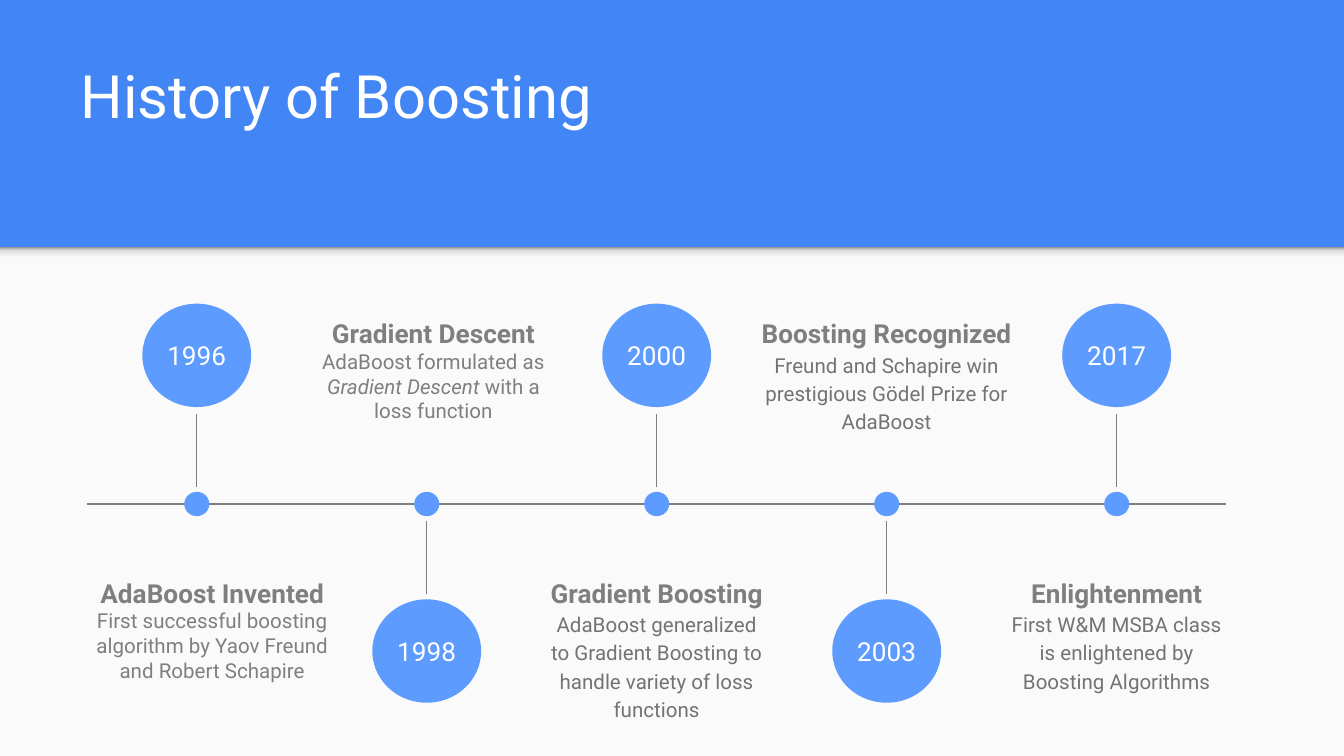
from copy import deepcopy

from lxml.etree import SubElement
from pptx import Presentation
from pptx.dml.color import RGBColor
from pptx.enum.shapes import MSO_CONNECTOR, MSO_SHAPE
from pptx.enum.text import MSO_ANCHOR, PP_ALIGN
from pptx.oxml.ns import qn
from pptx.util import Pt

TITLE = "History of Boosting"
# year, heading, description as (text, italic) runs, text width, text shift from the dot
EVENTS = [
    ("1996", "AdaBoost Invented",
     [("First successful boosting algorithm by Yaov Freund and Robert Schapire", False)],
     149.8, 8.3),
    ("1998", "Gradient Descent",
     [("AdaBoost formulated as ", False), ("Gradient Descent", True),
      (" with a loss function", False)],
     140.4, 3.6),
    ("2000", "Gradient Boosting",
     [("AdaBoost generalized to Gradient Boosting to handle variety of loss functions", False)],
     133.2, 0),
    ("2003", "Boosting Recognized",
     [("Freund and Schapire win prestigious Gödel Prize for AdaBoost", False)],
     153.4, 0),
    ("2017", "Enlightenment",
     [("First W&M MSBA class is enlightened by Boosting Algorithms", False)],
     133.2, 0),
]
COMPACT_EVENTS = 2  # the first events have tighter, lighter descriptions

FONT = "Roboto"
BLUE = RGBColor(0x42, 0x85, 0xF4)
LIGHT_BLUE = RGBColor(0x5D, 0x9B, 0xFF)
WHITE = RGBColor(0xFF, 0xFF, 0xFF)
PAPER = RGBColor(0xFA, 0xFA, 0xFA)
GRAY = RGBColor(0x7F, 0x7F, 0x7F)
DARK_GRAY = RGBColor(0x73, 0x73, 0x73)
SHADE = [(0.36, RGBColor(0xF9, 0xF9, 0xF9)),
         (0.8, RGBColor(0xDE, 0xDE, 0xDE)),
         (1, RGBColor(0x99, 0x99, 0x99))]

WIDTH, HEIGHT = 720, 405
HEADER_H, SHADE_H = 132.5, 8.6
AXIS_Y, AXIS_LEFT, AXIS_RIGHT = 270, 46.8, 656.6
FIRST_X, STEP = 105.4, 123.2
CIRCLE_W, CIRCLE_H = 58.3, 55.4
DOT_W, DOT_H = 13.4, 13
STEM_NEAR, STEM_FAR = 9, 48
TEXT_H = 85.7
# vertical places: circle centre and text top, by the circle's side of the axis
ABOVE = {"circle_y": 190.4, "text_top": 288.7, "side": -1}
BELOW = {"circle_y": 348.8, "text_top": 149.8, "side": 1}

deck = Presentation()
deck.slide_width, deck.slide_height = Pt(WIDTH), Pt(HEIGHT)
slide = deck.slides.add_slide(deck.slide_layouts[6])
slide.background.fill.solid()
slide.background.fill.fore_color.rgb = BLUE


def add_plain(kind, left, top, width, height, color):
    """Add a preset shape with a flat fill, no outline and no shadow."""
    shape = slide.shapes.add_shape(kind, Pt(left), Pt(top), Pt(width), Pt(height))
    shape.shadow.inherit = False
    shape.fill.solid()
    shape.fill.fore_color.rgb = color
    shape.line.fill.background()
    return shape


def add_ellipse(x, y, width, height):
    """Add an ellipse centred on (x, y)."""
    return add_plain(MSO_SHAPE.OVAL, x - width / 2, y - height / 2, width, height, LIGHT_BLUE)


def add_rule(x1, y1, x2, y2):
    rule = slide.shapes.add_connector(MSO_CONNECTOR.STRAIGHT, Pt(x1), Pt(y1), Pt(x2), Pt(y2))
    rule.line.color.rgb = GRAY
    rule.line.width = Pt(0.75)
    SubElement(rule.element.spPr, qn("a:effectLst"))


def add_text_box(left, top, width, height):
    frame = slide.shapes.add_textbox(Pt(left), Pt(top), Pt(width), Pt(height)).text_frame
    frame.word_wrap = True
    return frame


def write(paragraph, text, *, size, color, bold=False, italic=False,
          align=PP_ALIGN.CENTER, spacing=1.0):
    """Append one formatted run and set the paragraph's layout."""
    paragraph.alignment = align
    paragraph.line_spacing = spacing
    run = paragraph.add_run()
    run.text = text
    font = run.font
    font.name, font.size, font.color.rgb = FONT, Pt(size), color
    font.bold, font.italic = bold, italic


# Header and paper
add_plain(MSO_SHAPE.RECTANGLE, 0, HEADER_H, WIDTH, HEIGHT - HEADER_H, PAPER)
shade = add_plain(MSO_SHAPE.RECTANGLE, 0, HEADER_H, WIDTH, SHADE_H, PAPER)
shade.fill.gradient()
shade.fill.gradient_angle = 90
stop_list = shade.element.spPr.find(".//" + qn("a:gsLst"))
stop_list.append(deepcopy(stop_list[0]))
for stop, (position, color) in zip(shade.fill.gradient_stops, SHADE):
    stop.position, stop.color.rgb = position, color

title = add_text_box(36, 16.6, 647.3, 60.5)
title.margin_top = title.margin_bottom = Pt(7.2)
title.vertical_anchor = MSO_ANCHOR.BOTTOM
write(title.paragraphs[0], TITLE, size=32, color=WHITE, align=PP_ALIGN.LEFT)

# Timeline
add_rule(AXIS_LEFT, AXIS_Y, AXIS_RIGHT, AXIS_Y)
for index, (year, heading, description, width, shift) in enumerate(EVENTS):
    x = FIRST_X + index * STEP
    place = BELOW if index % 2 else ABOVE
    side = place["side"]

    add_rule(x, AXIS_Y + side * STEM_NEAR, x, AXIS_Y + side * STEM_FAR)
    add_ellipse(x, AXIS_Y, DOT_W, DOT_H)
    circle = add_ellipse(x, place["circle_y"], CIRCLE_W, CIRCLE_H).text_frame
    circle.word_wrap = False
    circle.vertical_anchor = MSO_ANCHOR.MIDDLE
    write(circle.paragraphs[0], year, size=14, color=WHITE)

    story = add_text_box(x + shift - width / 2, place["text_top"], width, TEXT_H)
    write(story.paragraphs[0], heading, size=14, color=GRAY, bold=True, spacing=2.0)
    compact = index < COMPACT_EVENTS
    body = story.add_paragraph()
    for text, italic in description:
        write(body, text, size=11, italic=italic,
              color=GRAY if compact else DARK_GRAY, spacing=1.0 if compact else 1.15)

deck.save("out.pptx")
